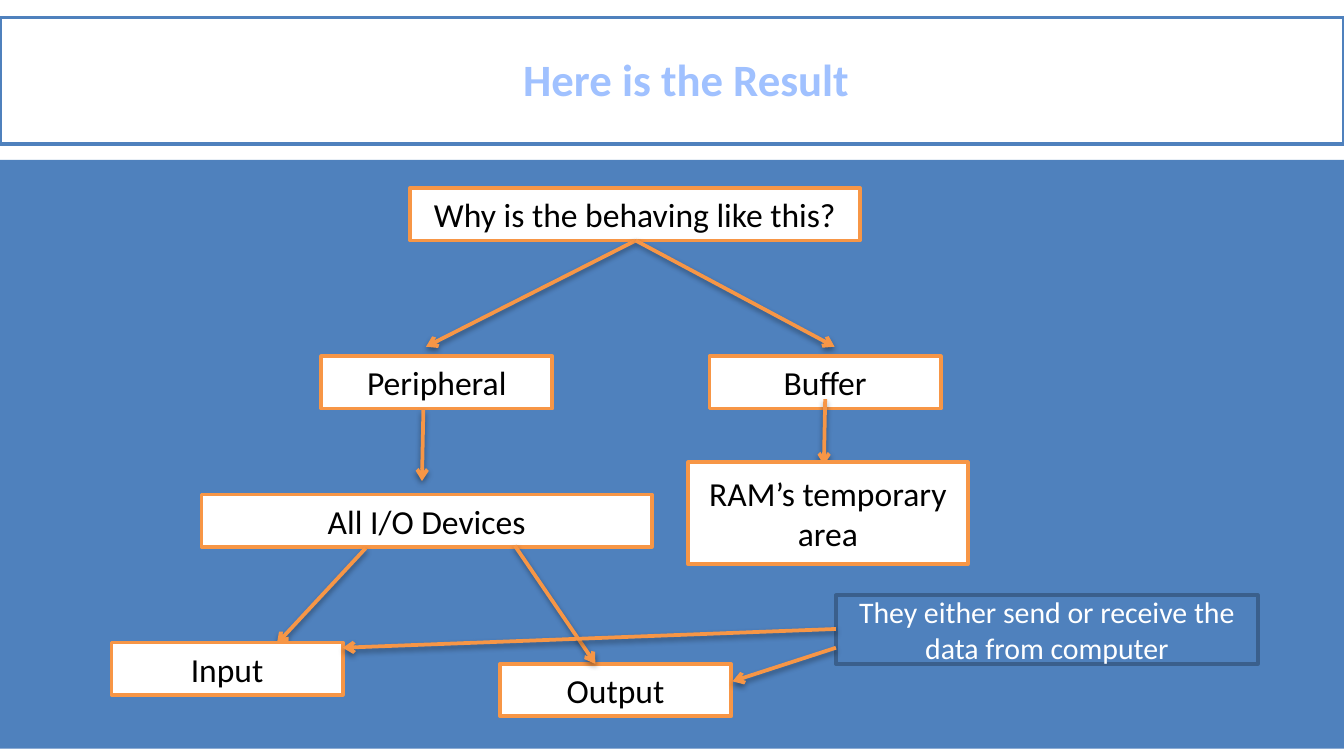
from dataclasses import dataclass

from lxml.etree import SubElement
from pptx import Presentation
from pptx.dml.color import RGBColor
from pptx.enum.shapes import MSO_CONNECTOR, MSO_SHAPE
from pptx.enum.text import MSO_ANCHOR, MSO_AUTO_SIZE, PP_ALIGN
from pptx.oxml import parse_xml
from pptx.oxml.ns import nsdecls, qn
from pptx.util import Inches, Pt

# A 16:9 slide, as a grid of square cells, 100 columns across.
COLUMNS = 100
ROWS = COLUMNS * 9 / 16
CELL = Inches(10) / COLUMNS
NODE_HEIGHT = 3.9
WIDE, NARROW = 33.5, 17.2

BLUE, DARK_BLUE, ORANGE = "4F81BD", "3A5F8C", "F79646"
WHITE, BLACK = "FFFFFF", "000000"
TITLE_OUTLINE = "467AB8"
TITLE_STOPS = [(0, "BFD3F9"), (9, "A0C1FF"), (50, "003D85"), (79, "A0C1FF"), (100, "BFD3F9")]


@dataclass
class Box:
    text: str
    column: float
    row: float
    columns: float
    rows: float = NODE_HEIGHT
    fill: str = WHITE
    line: str = ORANGE
    color: str = BLACK
    size: float = 18


@dataclass
class Arrow:
    start: tuple[float, float]
    end: tuple[float, float]


# In drawing order: some arrows pass behind later boxes.
DIAGRAM = [
    Box("Why is the behaving like this?", 30.5, 14, WIDE),
    Arrow((47.3, 17.9), (31.7, 25.8)),
    Arrow((47.3, 17.9), (62.1, 25.8)),
    Box("Peripheral", 23.9, 26.5, NARROW),
    Box("Buffer", 52.8, 26.5, NARROW),
    Arrow((61.4, 29.7), (61.3, 34.6)),
    Box("RAM’s temporary area", 51.2, 34.4, 20.8, 7.6),
    Arrow((31.5, 30.5), (31.4, 35.8)),
    Box("All I/O Devices", 15, 36.8, WIDE),
    Arrow((27.2, 40.8), (20.6, 47.9)),
    Box("Input", 8.3, 47.8, NARROW),
    Box("Output", 37.2, 49.4, NARROW),
    Arrow((38.3, 40.6), (44.3, 49.4)),
    Box("They either send or receive the data from computer", 62.2, 44.3, 31.4, 5.1,
        BLUE, DARK_BLUE, WHITE, 16),
    Arrow((62.2, 48.2), (54.5, 50.7)),
    Arrow((62.2, 46.8), (25.5, 48.2)),
]


def cells(count: float) -> int:
    return round(count * CELL)


def rgb(color: str) -> RGBColor:
    return RGBColor.from_string(color)


def paint(shape, fill: str, line: str | None) -> None:
    shape.fill.solid()
    shape.fill.fore_color.rgb = rgb(fill)
    if line:
        shape.line.color.rgb = rgb(line)
        shape.line.width = Pt(2)
    else:
        shape.line.fill.background()


def add_rectangle(slide, column: float, row: float, columns: float, rows: float,
                  fill: str, line: str | None):
    shape = slide.shapes.add_shape(MSO_SHAPE.RECTANGLE, *map(cells, (column, row, columns, rows)))
    shape.shadow.inherit = False
    paint(shape, fill, line)
    return shape


def add_text(shape, text: str, size: float):
    """Write one centred paragraph and return it with its run."""
    frame = shape.text_frame
    frame.word_wrap = True
    frame.auto_size = MSO_AUTO_SIZE.NONE
    frame.vertical_anchor = MSO_ANCHOR.MIDDLE
    paragraph = frame.paragraphs[0]
    paragraph.alignment = PP_ALIGN.CENTER
    run = paragraph.add_run()
    run.text = text
    run.font.name = "Calibri"
    run.font.size = Pt(size)
    return paragraph, run


def add_box(slide, box: Box) -> None:
    shape = add_rectangle(slide, box.column, box.row, box.columns, box.rows, box.fill, box.line)
    _, run = add_text(shape, box.text, box.size)
    run.font.color.rgb = rgb(box.color)


def add_arrow(slide, arrow: Arrow) -> None:
    connector = slide.shapes.add_connector(
        MSO_CONNECTOR.STRAIGHT, *map(cells, (*arrow.start, *arrow.end)))
    connector.line.color.rgb = rgb(ORANGE)
    connector.line.width = Pt(2)
    properties = connector._element.spPr
    SubElement(properties.find(qn("a:ln")), qn("a:tailEnd"), type="arrow")
    properties.append(parse_xml(
        f'<a:effectLst {nsdecls("a")}><a:outerShdw blurRad="{Pt(3.1)}" dist="{Pt(1.6)}" '
        f'dir="5400000" rotWithShape="0"><a:srgbClr val="{BLACK}"><a:alpha val="38000"/>'
        f'</a:srgbClr></a:outerShdw></a:effectLst>'))


def add_title(slide, text: str) -> None:
    title = slide.shapes.title
    title.left, title.top, title.width, title.height = map(cells, (0, 1.3, COLUMNS, 9.4))
    paint(title, WHITE, BLUE)
    paragraph, run = add_text(title, text, 24)
    paragraph.line_spacing = 0.96
    paragraph.space_before = Pt(41.8)
    properties = paragraph._p.get_or_add_pPr()
    properties.set("marL", str(cells(2.1)))
    properties.set("indent", "0")
    run.font.bold = True
    stops = "".join(f'<a:gs pos="{position * 1000}"><a:srgbClr val="{color}"/></a:gs>'
                    for position, color in TITLE_STOPS)
    outline = (f'<a:ln {nsdecls("a")} w="{Pt(0.83)}"><a:solidFill>'
               f'<a:srgbClr val="{TITLE_OUTLINE}"/></a:solidFill></a:ln>')
    gradient = (f'<a:gradFill {nsdecls("a")}><a:gsLst>{stops}</a:gsLst>'
                f'<a:lin ang="5400000"/></a:gradFill>')
    for index, xml in enumerate((outline, gradient)):
        run._r.get_or_add_rPr().insert(index, parse_xml(xml))


def main() -> None:
    presentation = Presentation()
    presentation.slide_width, presentation.slide_height = cells(COLUMNS), cells(ROWS)
    slide = presentation.slides.add_slide(presentation.slide_layouts[5])
    panel = add_rectangle(slide, 0, 11.9, COLUMNS, 43.8, BLUE, None)
    slide.shapes.title._element.addprevious(panel._element)
    add_title(slide, "Here is the Result")
    for item in DIAGRAM:
        if isinstance(item, Box):
            add_box(slide, item)
        else:
            add_arrow(slide, item)
    presentation.save("out.pptx")


if __name__ == "__main__":
    main()
